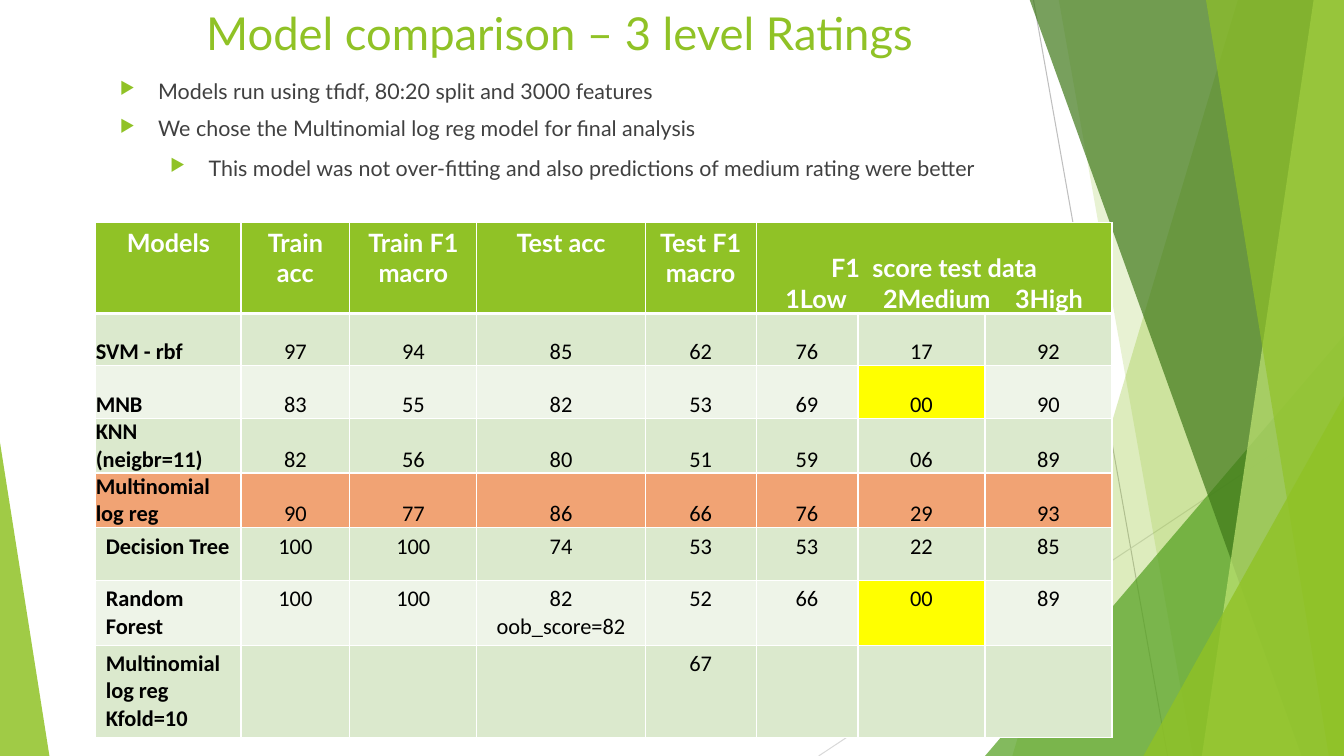
from lxml import etree
from pptx import Presentation
from pptx.dml.color import RGBColor
from pptx.enum.shapes import MSO_CONNECTOR, MSO_SHAPE
from pptx.enum.text import MSO_ANCHOR, PP_ALIGN
from pptx.oxml.ns import qn
from pptx.util import Inches, Pt

STRAIGHT = MSO_CONNECTOR.STRAIGHT
TRIANGLE = MSO_SHAPE.ISOSCELES_TRIANGLE
TOP, BOTTOM = MSO_ANCHOR.TOP, MSO_ANCHOR.BOTTOM
LEFT, CENTER = PP_ALIGN.LEFT, PP_ALIGN.CENTER

GREEN = RGBColor(0x90, 0xC2, 0x26)
MID_GREEN = RGBColor(0x54, 0xA0, 0x21)
DARK_GREEN = RGBColor(0x3F, 0x78, 0x19)
LIME = RGBColor(0xC0, 0xE4, 0x74)
BAND_DARK = RGBColor(0xDB, 0xE9, 0xCD)
BAND_LIGHT = RGBColor(0xEE, 0xF4, 0xE8)
ORANGE = RGBColor(0xF1, 0xA3, 0x74)
YELLOW = RGBColor(0xFF, 0xFF, 0x00)
WHITE = RGBColor(0xFF, 0xFF, 0xFF)
BLACK = RGBColor(0, 0, 0)
TEXT_GRAY = RGBColor(0x40, 0x40, 0x40)
LINE_GRAY = RGBColor(0xBF, 0xBF, 0xBF)
PALE_GRAY = RGBColor(0xD9, 0xD9, 0xD9)

RIGHT_EDGE, SLIDE_TOP, SLIDE_BOTTOM = 13.33, -0.01, 7.5

# top x, bottom x, colour, opacity in percent
PANELS_BACK = [(12.28, 10.04, GREEN, 30), (10.5, 11.83, GREEN, 20)]
PANELS_FRONT = [(10.21, 12.91, DARK_GREEN, 70), (13.03, 11.92, LIME, 70),
                (11.96, 13.18, GREEN, 65)]

BULLETS = [
    (0, "Models run using tfidf, 80:20 split and 3000 features"),
    (0, "We chose the Multinomial log reg model for final analysis"),
    (1, "This model was not over-fitting and also predictions of medium rating were better"),
]

COL_WIDTHS = [1.44, 1.08, 1.26, 1.67, 1.1, 1.01, 1.26, 1.26]
HEADER_HEIGHT, ROW_HEIGHT = 0.9, 0.52
HEADERS = ["Models", "Train acc", "Train F1 macro", "Test acc", "Test F1 macro",
           "F1  score test data\n1Low      2Medium    3High"]
RESULTS = [
    ["SVM - rbf", "97", "94", "85", "62", "76", "17", "92"],
    ["MNB", "83", "55", "82", "53", "69", "00", "90"],
    ["KNN (neigbr=11)", "82", "56", "80", "51", "59", "06", "89"],
    ["Multinomial log reg", "90", "77", "86", "66", "76", "29", "93"],
    ["Decision Tree", "100", "100", "74", "53", "53", "22", "85"],
    ["Random Forest", "100", "100", "82 oob_score=82", "52", "66", "00", "89"],
    ["Multinomial log reg\nKfold=10", "", "", "", "67", "", "", ""],
]
CHOSEN_ROW = 4
BOTTOM_ROWS = range(1, 5)


class SlideBuilder:
    font = "Lato"
    table_font = "Calibri"

    def __init__(self, prs):
        self.s = prs.slides.add_slide(prs.slide_layouts[5])

    def run(self, p, text, size, color, font=None, bold=False):
        r = p.add_run()
        r.text = text
        r.font.name = font or self.font
        r.font.size = Pt(size)
        r.font.bold = bold
        r.font.color.rgb = color

    def line(self, x1, y1, x2, y2, color):
        c = self.s.shapes.add_connector(STRAIGHT, Inches(x1), Inches(y1), Inches(x2), Inches(y2))
        c.line.color.rgb = color
        c.line.width = Pt(0.75)
        etree.SubElement(c._element.spPr, qn("a:effectLst"))

    def paint(self, sp, color, opacity):
        sp.shadow.inherit = False
        sp.line.fill.background()
        sp.fill.solid()
        sp.fill.fore_color.rgb = color
        clr = sp._element.spPr.find(".//" + qn("a:srgbClr"))
        etree.SubElement(clr, qn("a:alpha"), val=str(opacity * 1000))

    def panel(self, top_x, bottom_x, color, opacity):
        """Full-height panel from a slanted left side to the slide's right edge."""
        corners = [(top_x, SLIDE_TOP), (RIGHT_EDGE, SLIDE_TOP),
                   (RIGHT_EDGE, SLIDE_BOTTOM), (bottom_x, SLIDE_BOTTOM)]
        points = [(Inches(x), Inches(y)) for x, y in corners]
        fb = self.s.shapes.build_freeform(*points[0])
        fb.add_line_segments(points[1:], close=True)
        self.paint(fb.convert_to_shape(), color, opacity)

    def triangle(self, x, y, w, h, apex, color, opacity):
        sp = self.s.shapes.add_shape(TRIANGLE, Inches(x), Inches(y), Inches(w), Inches(h))
        sp.adjustments[0] = apex
        self.paint(sp, color, opacity)

    def title(self, text, x, y, w, h):
        sp = self.s.shapes.title
        sp.left, sp.top, sp.width, sp.height = Inches(x), Inches(y), Inches(w), Inches(h)
        tf = sp.text_frame
        tf.vertical_anchor = TOP
        p = tf.paragraphs[0]
        p.alignment = CENTER
        self.run(p, text, 32.4, GREEN)
        self.s.shapes._spTree.append(sp._element)

    def bullets(self, items, x, y, w, h):
        tf = self.s.shapes.add_textbox(Inches(x), Inches(y), Inches(w), Inches(h)).text_frame
        tf.word_wrap = True
        for i, (level, text) in enumerate(items):
            p = tf.add_paragraph() if i else tf.paragraphs[0]
            p.level = level
            if i:
                p.space_before = Pt(10)
            p.line_spacing = 1.0 if level else 0.9
            pPr = p._p.get_or_add_pPr()
            pPr.set("marL", str(Inches(0.38 + 0.5 * level)))
            pPr.set("indent", str(Inches(-0.38)))
            clr = etree.SubElement(pPr, qn("a:buClr"))
            etree.SubElement(clr, qn("a:srgbClr"), val=str(GREEN))
            etree.SubElement(pPr, qn("a:buSzPct"), val="80000")
            etree.SubElement(pPr, qn("a:buChar"), char="▶")
            self.run(p, text, 15.3, TEXT_GRAY)

    def borders(self, cell, top, bottom):
        tcPr = cell._tc.get_or_add_tcPr()
        for i, (side, width) in enumerate(zip("LRTB", (1, 1, top, bottom))):
            ln = etree.Element(qn("a:ln" + side), w=str(Pt(width)))
            fill = etree.SubElement(ln, qn("a:solidFill"))
            etree.SubElement(fill, qn("a:srgbClr"), val=str(WHITE))
            tcPr.insert(i, ln)

    def cell(self, cell, text, fill, align, at_bottom, top=1, bottom=1, **style):
        cell.fill.solid()
        cell.fill.fore_color.rgb = fill
        self.borders(cell, top, bottom)
        if at_bottom:
            cell.vertical_anchor = BOTTOM
            cell.margin_left = cell.margin_right = cell.margin_top = cell.margin_bottom = 0
        if not text:
            return
        tf = cell.text_frame
        for i, part in enumerate(text.split("\n")):
            p = tf.add_paragraph() if i else tf.paragraphs[0]
            p.alignment = align
            self.run(p, part, **style)

    def results_table(self, x, y):
        height = HEADER_HEIGHT + ROW_HEIGHT * len(RESULTS)
        tbl = self.s.shapes.add_table(len(RESULTS) + 1, len(COL_WIDTHS), Inches(x), Inches(y),
                                      Inches(sum(COL_WIDTHS)), Inches(height)).table
        tbl.horz_banding = False
        for col, width in zip(tbl.columns, COL_WIDTHS):
            col.width = Inches(width)
        for i, row in enumerate(tbl.rows):
            row.height = Inches(ROW_HEIGHT if i else HEADER_HEIGHT)

        last = len(HEADERS) - 1
        tbl.cell(0, last).merge(tbl.cell(0, len(COL_WIDTHS) - 1))
        for j in range(len(COL_WIDTHS)):
            self.cell(tbl.cell(0, j), HEADERS[j] if j <= last else "", GREEN, CENTER,
                      j == last, bottom=3, size=18, color=WHITE, bold=True)
        for i, values in enumerate(RESULTS, 1):
            band = ORANGE if i == CHOSEN_ROW else BAND_DARK if i % 2 else BAND_LIGHT
            for j, text in enumerate(values):
                self.cell(tbl.cell(i, j), text, YELLOW if text == "00" else band,
                          CENTER if j else LEFT, i in BOTTOM_ROWS, top=3 if i == 1 else 1,
                          size=16, color=BLACK, font=self.table_font, bold=j == 0)


def main():
    prs = Presentation()
    prs.slide_width, prs.slide_height = Inches(13.33), Inches(7.5)
    b = SlideBuilder(prs)
    b.line(10.25, 0, 11.58, 7.5, LINE_GRAY)
    b.line(13.33, 4.03, 8.12, 7.5, PALE_GRAY)
    for panel in PANELS_BACK:
        b.panel(*panel)
    b.triangle(9.77, 3.33, 3.56, 4.17, 1, MID_GREEN, 72)
    for panel in PANELS_FRONT:
        b.panel(*panel)
    b.triangle(11.34, 3.93, 1.99, 3.57, 1, GREEN, 80)
    b.triangle(0, 4.39, 0.49, 3.11, 0, GREEN, 85)
    b.title("Model comparison – 3 level Ratings", 0.85, 0, 9.4, 0.81)
    b.results_table(0.95, 2.21)
    b.bullets(BULLETS, 1.09, 0.75, 9.36, 1.18)
    prs.save("out.pptx")


if __name__ == "__main__":
    main()
